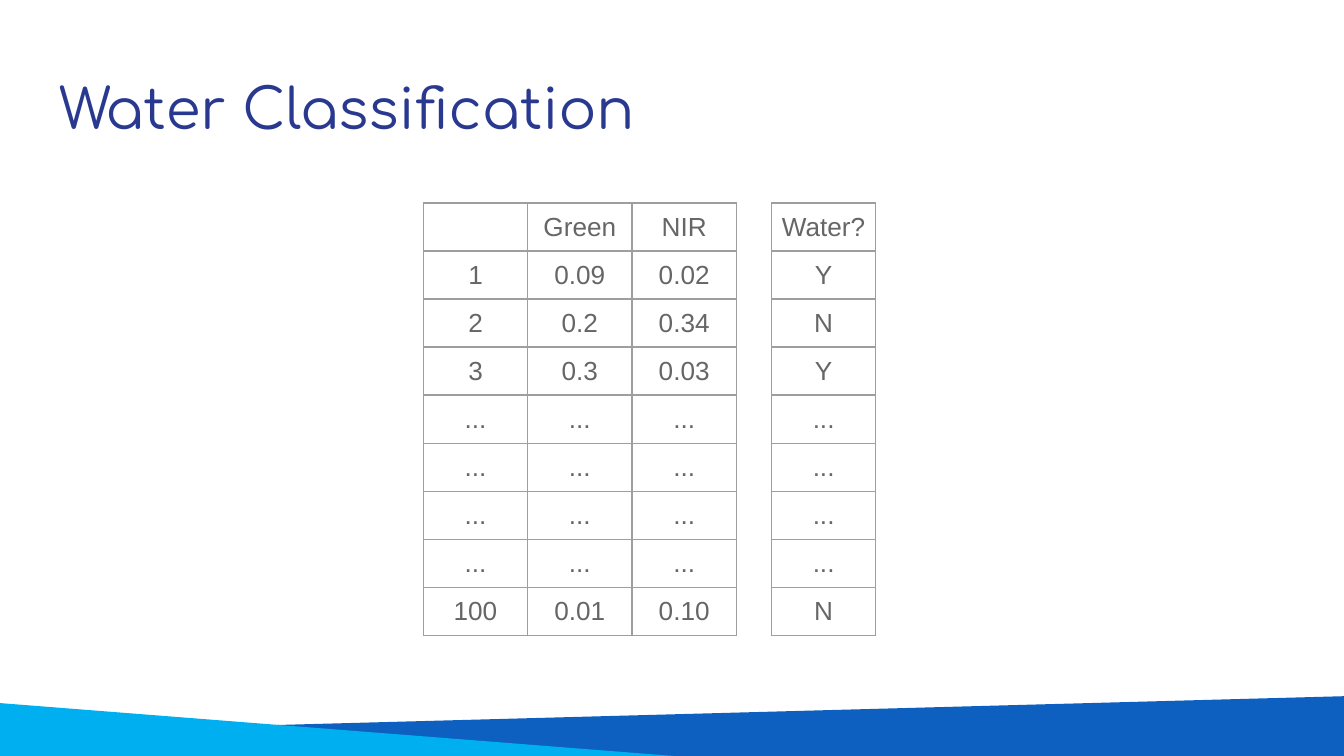
"""Build the Water Classification slide with its sample tables."""
from dataclasses import dataclass

from lxml.etree import SubElement
from pptx import Presentation
from pptx.dml.color import RGBColor
from pptx.enum.text import MSO_ANCHOR, PP_ALIGN
from pptx.oxml.ns import qn
from pptx.slide import Slide
from pptx.table import _Cell
from pptx.text.text import _Paragraph
from pptx.util import Inches, Pt


@dataclass(frozen=True)
class Theme:
    title_font: str = "Comfortaa"
    body_font: str = "Arial"
    title_size: int = 30
    body_size: int = 14
    border_width: float = 0.75
    title: str = "2A3990"
    body: str = "666666"
    border: str = "9E9E9E"
    deep_wave: str = "0E60C0"
    light_wave: str = "00AFEF"


@dataclass(frozen=True)
class Wave:
    points: tuple[tuple[float, float], ...]
    color: str


@dataclass(frozen=True)
class Grid:
    left: float
    rows: list[tuple[str, ...]]


THEME = Theme()
SLIDE_WIDTH = Inches(10)
SLIDE_HEIGHT = SLIDE_WIDTH * 9 // 16
TABLE_TOP = 1.51
COL_WIDTH = 2.33 / 3
ROW_HEIGHT = 3.22 / 9
WAVES = (
    Wave(((10.02, 5.66), (10.01, 5.18), (0.02, 5.45), (0.03, 5.63)), THEME.deep_wave),
    Wave(((5.2, 5.64), (-0.02, 5.23), (-0.02, 5.65)), THEME.light_wave),
)
GRIDS = (
    Grid(3.15, [
        ("", "Green", "NIR"),
        ("1", "0.09", "0.02"),
        ("2", "0.2", "0.34"),
        ("3", "0.3", "0.03"),
        *[("...",) * 3] * 4,
        ("100", "0.01", "0.10"),
    ]),
    Grid(5.74, [("Water?",), ("Y",), ("N",), ("Y",), *[("...",)] * 4, ("N",)]),
)


def style_runs(p: _Paragraph, font: str, size: int, color: str) -> None:
    for r in p.runs:
        r.font.name = font
        r.font.size = Pt(size)
        r.font.color.rgb = RGBColor.from_string(color)


def add_wave(s: Slide, wave: Wave) -> None:
    start, *rest = [(Inches(x), Inches(y)) for x, y in wave.points]
    builder = s.shapes.build_freeform(*start)
    builder.add_line_segments(rest, close=True)
    sp = builder.convert_to_shape()
    sp.shadow.inherit = False
    sp.fill.solid()
    sp.fill.fore_color.rgb = RGBColor.from_string(wave.color)
    sp.line.fill.background()


def add_title(s: Slide, text: str) -> None:
    sp = s.shapes.add_textbox(Inches(0.34), Inches(0.45), Inches(9.32), Inches(0.66))
    tf = sp.text_frame
    tf.word_wrap = True
    tf.margin_left = tf.margin_right = tf.margin_top = tf.margin_bottom = Inches(0.1)
    tf.text = text
    style_runs(tf.paragraphs[0], THEME.title_font, THEME.title_size, THEME.title)


def set_borders(cell: _Cell) -> None:
    props = cell._tc.get_or_add_tcPr()
    for index, side in enumerate(("lnL", "lnR", "lnT", "lnB")):
        line = SubElement(props, qn(f"a:{side}"), w=str(Pt(THEME.border_width)))
        props.insert(index, line)
        fill = SubElement(line, qn("a:solidFill"))
        SubElement(fill, qn("a:srgbClr"), val=THEME.border)


def fill_cell(cell: _Cell, text: str) -> None:
    cell.text = text
    cell.margin_left = cell.margin_right = cell.margin_top = cell.margin_bottom = 0
    cell.vertical_anchor = MSO_ANCHOR.MIDDLE
    cell.fill.background()
    set_borders(cell)
    p = cell.text_frame.paragraphs[0]
    p.alignment = PP_ALIGN.CENTER
    style_runs(p, THEME.body_font, THEME.body_size, THEME.body)


def add_grid(s: Slide, grid: Grid) -> None:
    n_rows, n_cols = len(grid.rows), len(grid.rows[0])
    table = s.shapes.add_table(
        n_rows, n_cols, Inches(grid.left), Inches(TABLE_TOP),
        Inches(n_cols * COL_WIDTH), Inches(n_rows * ROW_HEIGHT),
    ).table
    table.first_row = table.horz_banding = False
    for col in table.columns:
        col.width = Inches(COL_WIDTH)
    for row, texts in zip(table.rows, grid.rows):
        row.height = Inches(ROW_HEIGHT)
        for cell, text in zip(row.cells, texts):
            fill_cell(cell, text)


def main() -> None:
    prs = Presentation()
    prs.slide_width, prs.slide_height = SLIDE_WIDTH, SLIDE_HEIGHT
    s = prs.slides.add_slide(prs.slide_layouts[6])
    for wave in WAVES:
        add_wave(s, wave)
    add_title(s, "Water Classification")
    for grid in GRIDS:
        add_grid(s, grid)
    prs.save("out.pptx")


if __name__ == "__main__":
    main()
